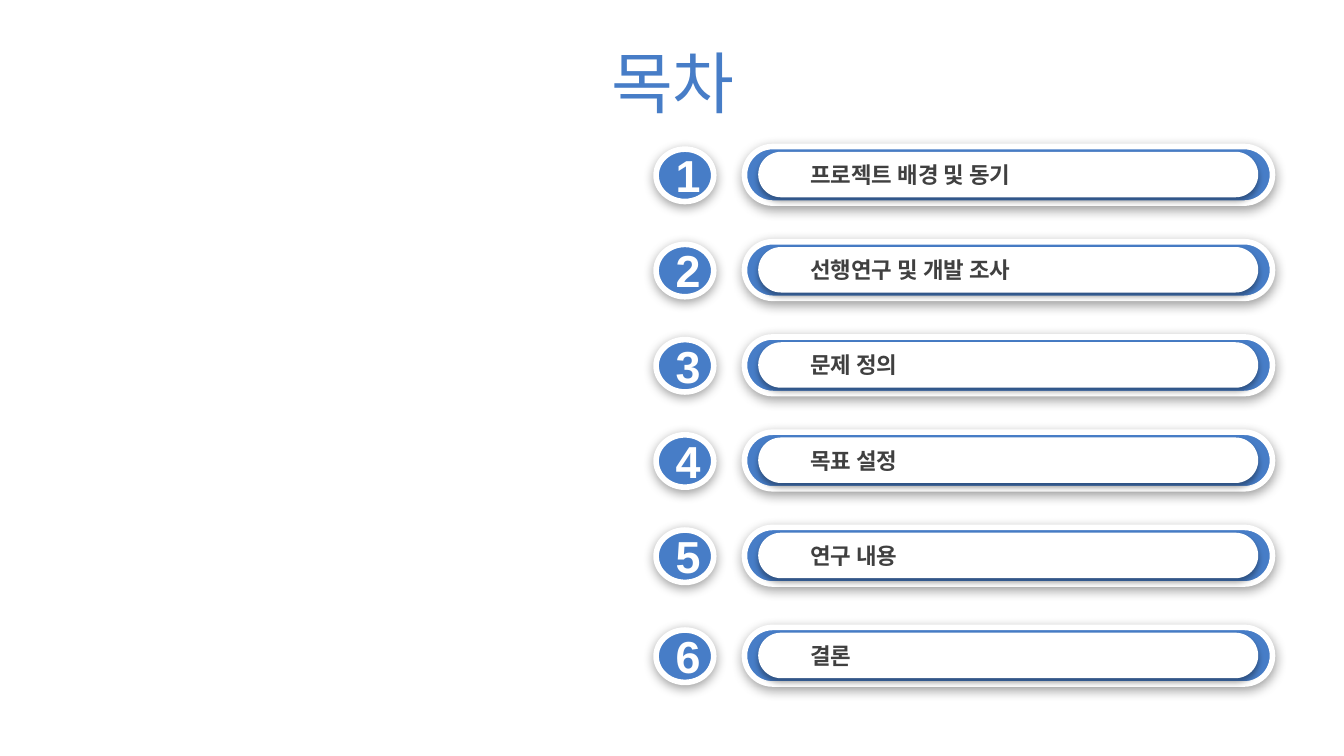
from dataclasses import dataclass
from typing import Optional

from lxml.etree import SubElement
from pptx import Presentation
from pptx.dml.color import RGBColor
from pptx.enum.shapes import MSO_SHAPE
from pptx.enum.text import MSO_ANCHOR, MSO_AUTO_SIZE, PP_ALIGN
from pptx.oxml.ns import qn
from pptx.util import Cm, Pt

BLUE = RGBColor(0x47, 0x7D, 0xC7)
WHITE = RGBColor(0xFF, 0xFF, 0xFF)
GRAY = RGBColor(0x40, 0x40, 0x40)


@dataclass(frozen=True)
class Area:
    """Place and size in centimetres; top is relative to the row when moved."""
    left: float
    top: float
    width: float
    height: float

    def lengths(self, row_top: float = 0) -> tuple:
        return Cm(self.left), Cm(self.top + row_top), Cm(self.width), Cm(self.height)


@dataclass(frozen=True)
class Shadow:
    opacity: int
    blur: float
    distance: float


@dataclass(frozen=True)
class Topic:
    label: str
    label_width: float
    shift: float = 0


# Row layout
FIRST_TOP, ROW_PITCH = 2.77, 1.8
PILL = Area(14.07, 0, 9.98, 1.07)
PANEL = Area(14.33, 0.1, 9.45, 0.86)
CIRCLE = Area(12.4, 0.05, 1.09, 0.99)
NUMBER = Area(12.52, -0.1, 0.81, 1.27)
LABEL_LEFT, LABEL_TOP, LABEL_HEIGHT = 15.06, 0.15, 0.76

OUTER_SHADOW = Shadow(38, 6, 1.6)
INNER_SHADOW = Shadow(35, 3.1, 1.8)

TITLE_FONT = {"name": "Arial", "size": Pt(36)}
LABEL_FONT = {"name": "Arial", "size": Pt(12), "bold": True}
NUMBER_FONT = {"name": "Arial", "size": Pt(24), "bold": True}

TOPICS = [
    Topic("프로젝트 배경 및 동기", 4.72),
    Topic("선행연구 및 개발 조사", 4.72),
    Topic("문제 정의", 2.34),
    Topic("목표 설정", 2.34),
    Topic("연구 내용", 2.34),
    Topic("결론", 1.37, shift=0.09),
]


def add_shadow(shape, shadow: Shadow) -> None:
    """Cast a black shadow straight down."""
    shape.shadow.inherit = False
    effects = shape._element.spPr.find(qn("a:effectLst"))
    outer = SubElement(effects, qn("a:outerShdw"), {
        "blurRad": str(Pt(shadow.blur)), "dist": str(Pt(shadow.distance)),
        "dir": "5400000", "algn": "t", "rotWithShape": "0"})
    color = SubElement(outer, qn("a:srgbClr"), val="000000")
    SubElement(color, qn("a:alpha"), val=str(shadow.opacity * 1000))


def add_shape(shapes, kind: MSO_SHAPE, lengths: tuple, fill: RGBColor,
              shadow: Shadow, border: Optional[RGBColor] = None) -> None:
    shape = shapes.add_shape(kind, *lengths)
    if kind == MSO_SHAPE.ROUNDED_RECTANGLE:
        shape.adjustments[0] = 0.5
    shape.fill.solid()
    shape.fill.fore_color.rgb = fill
    if border is None:
        shape.line.fill.background()
    else:
        shape.line.color.rgb = border
        shape.line.width = Pt(3)
    add_shadow(shape, shadow)


def add_text(page, text: str, lengths: tuple, font: dict, color: RGBColor,
             frame_format: dict, alignment: PP_ALIGN = PP_ALIGN.LEFT) -> None:
    box = page.shapes.add_textbox(*lengths)
    for name, value in frame_format.items():
        setattr(box.text_frame, name, value)
    para = box.text_frame.paragraphs[0]
    para.alignment = alignment
    span = para.add_run()
    span.text = text
    for name, value in font.items():
        setattr(span.font, name, value)
    span.font.color.rgb = color


def add_topic(page, number: int, topic: Topic) -> None:
    top = FIRST_TOP + (number - 1) * ROW_PITCH + topic.shift

    # Bar with its white panel
    bar = page.shapes.add_group_shape()
    add_shape(bar.shapes, MSO_SHAPE.ROUNDED_RECTANGLE, PILL.lengths(top), BLUE,
              OUTER_SHADOW, WHITE)
    add_shape(bar.shapes, MSO_SHAPE.ROUNDED_RECTANGLE, PANEL.lengths(top), WHITE,
              INNER_SHADOW)
    label = Area(LABEL_LEFT, LABEL_TOP, topic.label_width, LABEL_HEIGHT)
    add_text(page, topic.label, label.lengths(top), LABEL_FONT, GRAY,
             {"word_wrap": False, "auto_size": MSO_AUTO_SIZE.SHAPE_TO_FIT_TEXT})

    # Number badge
    add_shape(page.shapes, MSO_SHAPE.OVAL, CIRCLE.lengths(top), BLUE,
              OUTER_SHADOW, WHITE)
    add_text(page, str(number), NUMBER.lengths(top), NUMBER_FONT, WHITE,
             {"word_wrap": True, "auto_size": MSO_AUTO_SIZE.SHAPE_TO_FIT_TEXT,
              "vertical_anchor": MSO_ANCHOR.MIDDLE}, PP_ALIGN.CENTER)


def main() -> None:
    deck = Presentation()
    deck.slide_width, deck.slide_height = Cm(25.4), Cm(14.29)
    page = deck.slides.add_slide(deck.slide_layouts[6])

    # Title
    add_text(page, "목차", Area(11.3, 0.74, 14.1, 1.6).lengths(), TITLE_FONT, BLUE,
             {"word_wrap": True, "vertical_anchor": MSO_ANCHOR.MIDDLE})

    # Numbered topics
    for number, topic in enumerate(TOPICS, start=1):
        add_topic(page, number, topic)

    deck.save("out.pptx")


if __name__ == "__main__":
    main()
